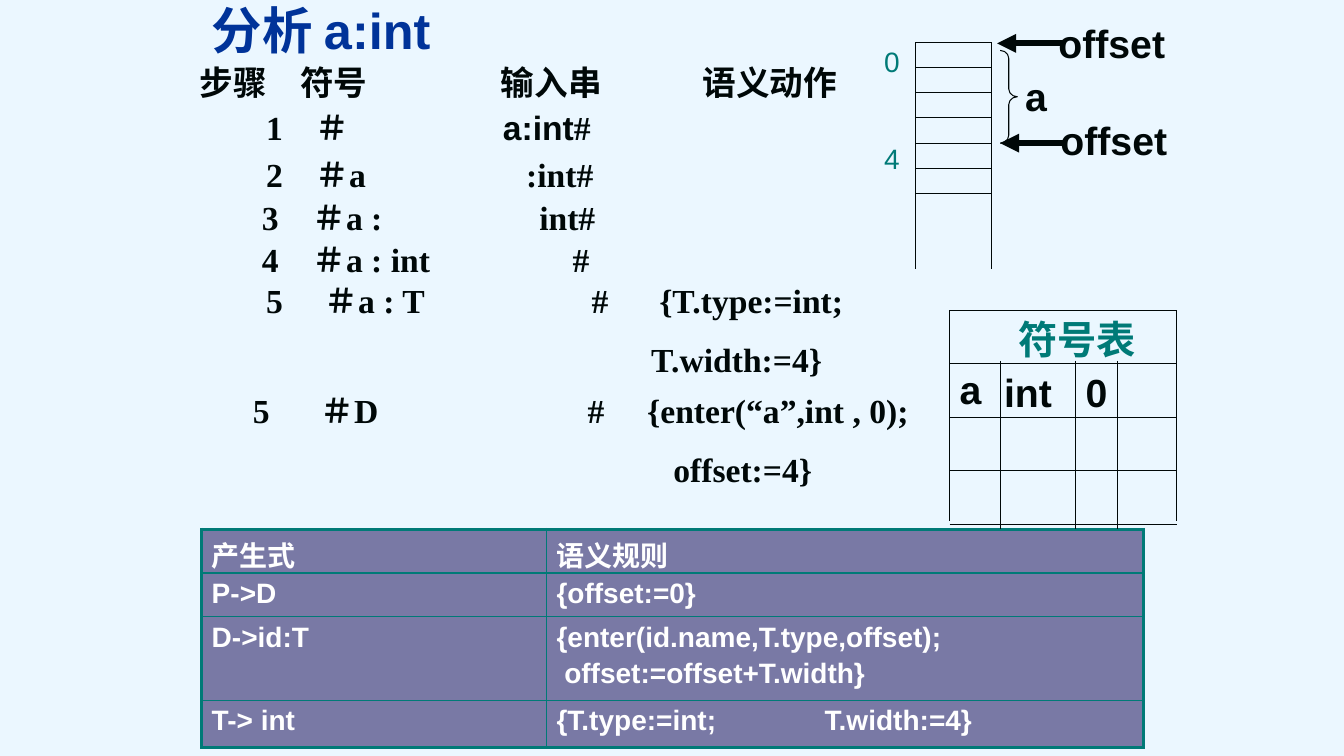
from lxml import etree
from pptx import Presentation
from pptx.dml.color import RGBColor
from pptx.enum import shapes, text
from pptx.oxml import parse_xml
from pptx.oxml.ns import nsdecls, qn
from pptx.util import Inches, Pt

INK, TEAL = "000808", "007A77"


def format_paragraph(p, size, color, font="Arial", bold=True, before=0, tabs=()):
    """Style one paragraph; tabs are tab stops in inches from the text edge."""
    if tabs:
        tab_list = etree.SubElement(p._p.get_or_add_pPr(), qn("a:tabLst"))
        for stop in tabs:
            etree.SubElement(tab_list, qn("a:tab"), pos=str(Inches(stop)), algn="l")
    p.alignment = text.PP_ALIGN.LEFT
    p.space_before = Pt(before)
    p.font.size, p.font.name, p.font.bold = Pt(size), font, bold
    p.font.color.rgb = RGBColor.from_string(color)


def add_line(x1, y1, x2, y2, width=0.75, arrow=False):
    c = s.shapes.add_connector(shapes.MSO_CONNECTOR.STRAIGHT, Inches(x1), Inches(y1),
                               Inches(x2), Inches(y2))
    c.line.width = Pt(width)
    c.line.color.rgb = RGBColor.from_string(INK)
    if arrow:
        etree.SubElement(c.line._get_or_add_ln(), qn("a:tailEnd"), type="triangle")
    etree.SubElement(c._element.spPr, qn("a:effectLst"))


prs = Presentation()
prs.slide_width, prs.slide_height = Inches(13.33), Inches(7.5)
s = prs.slides.add_slide(prs.slide_layouts[5])
s.background.fill.solid()
s.background.fill.fore_color.rgb = RGBColor.from_string("EBF7FF")

title = s.shapes.title
title.left, title.top, title.width, title.height = map(Inches, (2, -0.33, 9.34, 1.25))
tf = title.text_frame
tf.text = "分析 a:int"
tf.auto_size = text.MSO_AUTO_SIZE.NONE
tf.vertical_anchor = text.MSO_ANCHOR.MIDDLE
format_paragraph(tf.paragraphs[0], 36, "003399")

# Parsing trace: box left, box top, then lines of (x on the slide, text)
trace = [
    (1.88, 0.57, [[(1.98, "步骤"), (2.98, "符号"), (4.97, "输入串"), (6.97, "语义动作")]]),
    (2.04, 1.01, [[(2.64, "1"), (3.13, "＃"), (4.99, "a:int"), (None, "#")]]),
    (2.04, 1.48, [[(2.64, "2"), (3.13, "＃a"), (5.22, ":int#")]]),
    (2, 1.9, [[(2.6, "3"), (3.1, "＃a :"), (5.35, "int#")]]),
    (2, 2.32, [[(2.6, "4"), (3.1, "＃a : int"), (5.68, "#")]]),
    (2.04, 2.73, [[(2.64, "5"), (3.22, "＃a : T"), (5.87, "#"), (6.54, "{T.type:=int;")],
                  [(6.46, "T.width:=4}")]]),
    (1.92, 3.82, [[(2.51, "5"), (3.18, "＃D"), (5.83, "#"), (6.42, "{enter(“a”,int , 0);")],
                  [(6.68, "offset:=4}")]]),
]
for left, top, lines in trace:
    tf = s.shapes.add_textbox(Inches(left), Inches(top), Inches(9.42),
                              Inches(0.5 * len(lines))).text_frame
    tf.word_wrap = True
    for i, line in enumerate(lines):
        p = tf.add_paragraph() if i else tf.paragraphs[0]
        stops = [round(x - left - 0.1, 2) for x, _ in line if x]
        format_paragraph(p, 24, INK, "Times New Roman", before=13 if i else 0,
                         tabs=[stop for stop in stops if stop > 0])
        for x, words in line:
            r = p.add_run()
            r.text = "\t" + words if x and x > left + 0.1 else words
            if words == "a:int":
                r.font.name = "Arial"

# Semantic rules
rules = [
    ("产生式", "语义规则"),
    ("P->D", "{offset:=0}"),
    ("D->id:T", "{enter(id.name,T.type,offset);\n offset:=offset+T.width}"),
    ("T-> int", "{T.type:=int;\tT.width:=4}"),
]
table = s.shapes.add_table(4, 2, Inches(2), Inches(5.25), Inches(9.34), Inches(2.16)).table
table.first_row = table.horz_banding = False
for col, width in zip(table.columns, (3.42, 5.92)):
    col.width = Inches(width)
for row, height in zip(table.rows, (0.43, 0.43, 0.83, 0.47)):
    row.height = Inches(height)
for i, row in enumerate(rules):
    for j, words in enumerate(row):
        cell = table.cell(i, j)
        cell.text = words
        for k, p in enumerate(cell.text_frame.paragraphs):
            format_paragraph(p, 20, "FFFFFF", before=4 if k else 0,
                             tabs=[2.66] if "\t" in words else [])
        cell.fill.solid()
        cell.fill.fore_color.rgb = RGBColor.from_string("7979A5")
        outer = {"L": j == 0, "R": j == 1, "T": i == 0, "B": i == 3}
        for k, (side, thick) in enumerate(outer.items()):
            cell._tc.get_or_add_tcPr().insert(k, parse_xml(
                f'<a:ln{side} {nsdecls("a")} w="{Pt(2.25 if thick else 1)}"><a:solidFill>'
                f'<a:srgbClr val="{TEAL}"/></a:solidFill></a:ln{side}>'))

# Memory cells
for x in (9.08, 9.83):
    add_line(x, 0.42, x, 2.67)
for i in range(7):
    y = 0.42 + 0.25 * i
    add_line(9.08, y, 9.83, y)
add_line(10.55, 0.43, 9.89, 0.43, 4.5, arrow=True)
add_line(10.58, 1.42, 9.92, 1.42, 4.5, arrow=True)
brace = s.shapes.add_shape(shapes.MSO_SHAPE.RIGHT_BRACE, Inches(9.92), Inches(0.5),
                           Inches(0.17), Inches(0.92))
brace.adjustments[0] = 0.458
brace.shadow.inherit = False
brace.fill.background()
brace.line.width = Pt(0.75)
brace.line.color.rgb = RGBColor.from_string(INK)

# Symbol table grid
for x in (9.42, 11.67):
    add_line(x, 3.08, x, 5.17)
for i in range(5):
    y = 3.08 + 0.53 * i
    add_line(9.42, y, 11.67, y)
for x in (9.92, 10.67, 11.08):
    add_line(x, 3.58, x, 5.25)

labels = [
    ("符号表", 10, 3.08, 28, TEAL, True),
    ("a", 9.42, 3.58, 28, INK, True),
    ("int", 9.86, 3.6, 28, INK, True),
    ("0", 10.67, 3.6, 28, INK, True),
    ("a", 10.07, 0.67, 28, INK, True),
    ("0", 8.67, 0.39, 20, TEAL, False),
    ("4", 8.67, 1.35, 20, TEAL, False),
    ("offset", 10.4, 0.14, 28, INK, True),
    ("offset", 10.42, 1.1, 28, INK, True),
]
for words, left, top, size, color, bold in labels:
    tf = s.shapes.add_textbox(Inches(left), Inches(top), Inches(0.3 + 0.4 * min(len(words), 3)),
                              Inches(0.57 if size == 28 else 0.44)).text_frame
    tf.word_wrap = True
    tf.text = words
    format_paragraph(tf.paragraphs[0], size, color, bold=bold)

prs.save("out.pptx")
